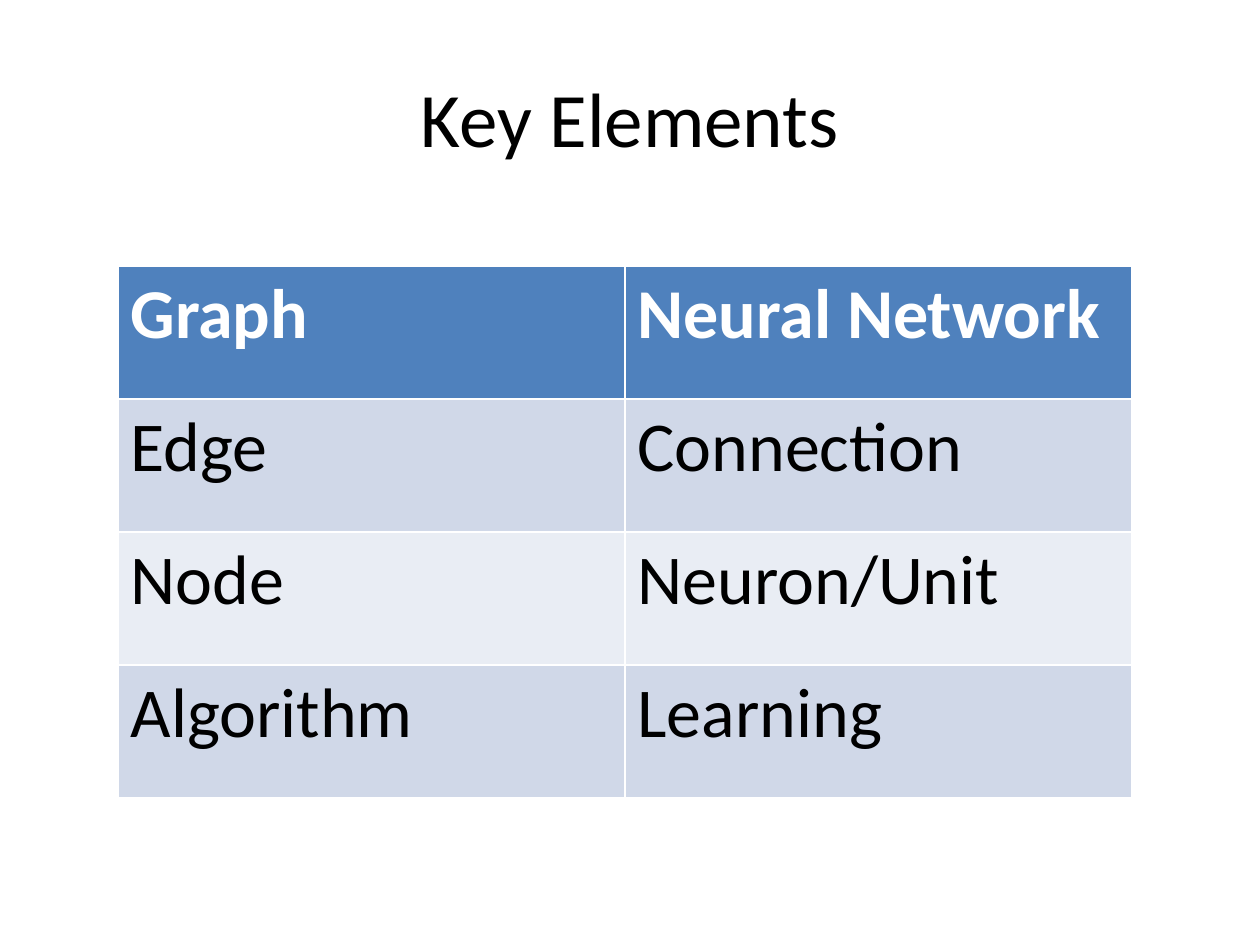
from pptx import Presentation
from pptx.dml.color import RGBColor
from pptx.enum.text import MSO_ANCHOR, PP_ALIGN
from pptx.util import Pt

EMU_PER_PX = 914400 / 126
FONT = "Calibri"
COLORS = {
    "text": "000000",
    "header_text": "FFFFFF",
    "header": "4F81BD",
    "odd_row": "D0D8E8",
    "even_row": "E9EDF4",
}
ROWS = [
    ("Graph", "Neural Network"),
    ("Edge", "Connection"),
    ("Node", "Neuron/Unit"),
    ("Algorithm", "Learning"),
]


def px(length):
    return round(length * EMU_PER_PX)


def color(name):
    return RGBColor.from_string(COLORS[name])


def style_para(para, size, color_name, bold=False):
    para.font.name = FONT
    para.font.size = Pt(size)
    para.font.bold = bold
    para.font.color.rgb = color(color_name)


def add_title(page, box, text):
    title = page.shapes.title
    title.left, title.top, title.width, title.height = map(px, box)
    frame = title.text_frame
    frame.text = text
    frame.vertical_anchor = MSO_ANCHOR.MIDDLE
    para = frame.paragraphs[0]
    para.alignment = PP_ALIGN.CENTER
    style_para(para, 44, "text")


def add_terms_table(page, box, rows):
    # The default table style supplies the white rules between cells
    table = page.shapes.add_table(len(rows), len(rows[0]), *map(px, box)).table
    for row_index, terms in enumerate(rows):
        is_header = row_index == 0
        fill = "header" if is_header else "odd_row" if row_index % 2 else "even_row"
        for column_index, term in enumerate(terms):
            cell = table.cell(row_index, column_index)
            cell.fill.solid()
            cell.fill.fore_color.rgb = color(fill)
            cell.text = term
            text_color = "header_text" if is_header else "text"
            style_para(cell.text_frame.paragraphs[0], 40, text_color, is_header)


def main():
    deck = Presentation()
    deck.slide_width, deck.slide_height = px(1260), px(945)
    page = deck.slides.add_slide(deck.slide_layouts[5])  # title only

    add_title(page, (63, 38, 1134, 157), "Key Elements")
    add_terms_table(page, (118, 266, 1014, 532), ROWS)

    deck.save("out.pptx")


if __name__ == "__main__":
    main()
